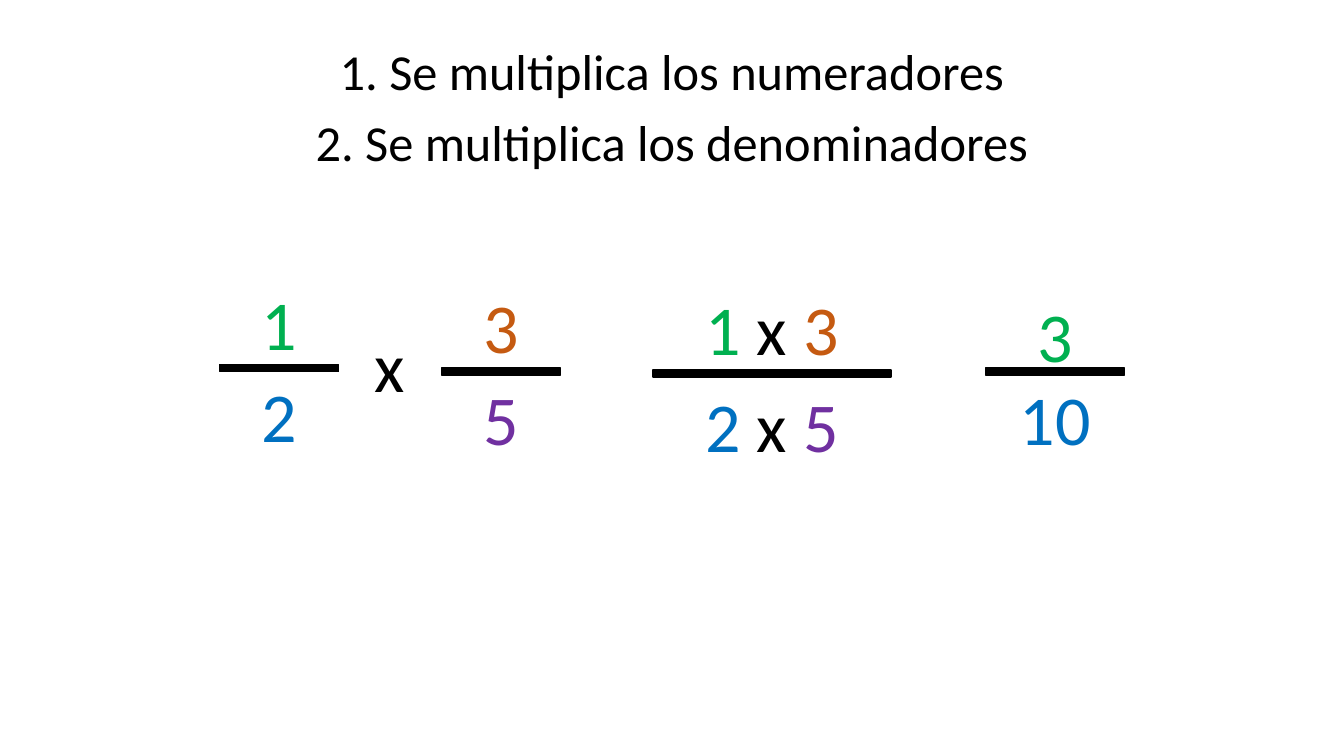
import pptx
import pptx.dml.color
import pptx.enum.shapes
import pptx.enum.text
import pptx.util

Cm = pptx.util.Cm
BLACK, GREEN, BLUE, ORANGE, PURPLE = "000000", "00B050", "0070C0", "C55A11", "7030A0"
PAGE_WIDTH, PAGE_HEIGHT = 33.87, 19.05
TEXT_HEIGHT, BAR_HEIGHT = 2.39, 0.18


def colour(value):
    """Return the colour for a hex string."""
    return pptx.dml.color.RGBColor.from_string(value)


def write(shape, spans, size):
    """Write one centred line of coloured spans into a shape."""
    frame = shape.text_frame
    frame.word_wrap = True
    frame.auto_size = pptx.enum.text.MSO_AUTO_SIZE.NONE
    frame.vertical_anchor = pptx.enum.text.MSO_ANCHOR.TOP
    para = frame.paragraphs[0]
    para.alignment = pptx.enum.text.PP_ALIGN.CENTER
    for text, tint in spans:
        span = para.add_run()
        span.text = text
        span.font.name = "Calibri"
        span.font.size = pptx.util.Pt(size)
        span.font.color.rgb = colour(tint)


def add_text(shapes, left, top, width, height, spans, size=50):
    """Add a text box with one centred line."""
    box = shapes.add_textbox(Cm(left), Cm(top), Cm(width), Cm(height))
    write(box, spans, size)


def add_rules(page, left, top, width):
    """Place the two rules, the first as the slide title."""
    height, step = 1.8, 1.78
    title = page.shapes.title
    title.left, title.top, title.width, title.height = Cm(left), Cm(top), Cm(width), Cm(height)
    write(title, [("1. Se multiplica los numeradores", BLACK)], 36)
    add_text(page.shapes, left, top + step, width, height,
             [("2. Se multiplica los denominadores", BLACK)], 36)


def add_fraction(page, left, bar_top, width, numerator, denominator, rise=2.24, drop=0.08):
    """Group a numerator, a bar and a denominator."""
    shapes = page.shapes.add_group_shape().shapes
    add_text(shapes, left, bar_top - rise, width, TEXT_HEIGHT, numerator)
    add_text(shapes, left, bar_top + drop, width, TEXT_HEIGHT, denominator)
    bar = shapes.add_shape(pptx.enum.shapes.MSO_SHAPE.RECTANGLE,
                           Cm(left), Cm(bar_top), Cm(width), Cm(BAR_HEIGHT))
    bar.shadow.inherit = False
    bar.fill.solid()
    bar.fill.fore_color.rgb = colour(BLACK)
    bar.line.color.rgb = colour(BLACK)
    bar.line.width = pptx.util.Pt(1)


def main():
    """Build the slide and save the deck."""
    deck = pptx.Presentation()
    deck.slide_width, deck.slide_height = Cm(PAGE_WIDTH), Cm(PAGE_HEIGHT)
    page = deck.slides.add_slide(deck.slide_layouts[5])
    add_rules(page, 0, 0.89, PAGE_WIDTH)
    add_fraction(page, 5.54, 9.19, 3, [("1", GREEN)], [("2", BLUE)])
    add_text(page.shapes, 8.89, 8, 1.88, TEXT_HEIGHT, [("x", BLACK)])
    add_fraction(page, 11.13, 9.27, 3, [("3", ORANGE)], [("5", PURPLE)])
    add_fraction(page, 16.46, 9.32, 6,
                 [("1 ", GREEN), ("x ", BLACK), ("3", ORANGE)],
                 [("2 ", BLUE), ("x ", BLACK), ("5", PURPLE)], drop=0.2)
    add_fraction(page, 24.84, 9.27, 3.5, [("3", GREEN)], [("10", BLUE)], rise=2.03)
    deck.save("out.pptx")


if __name__ == "__main__":
    main()
